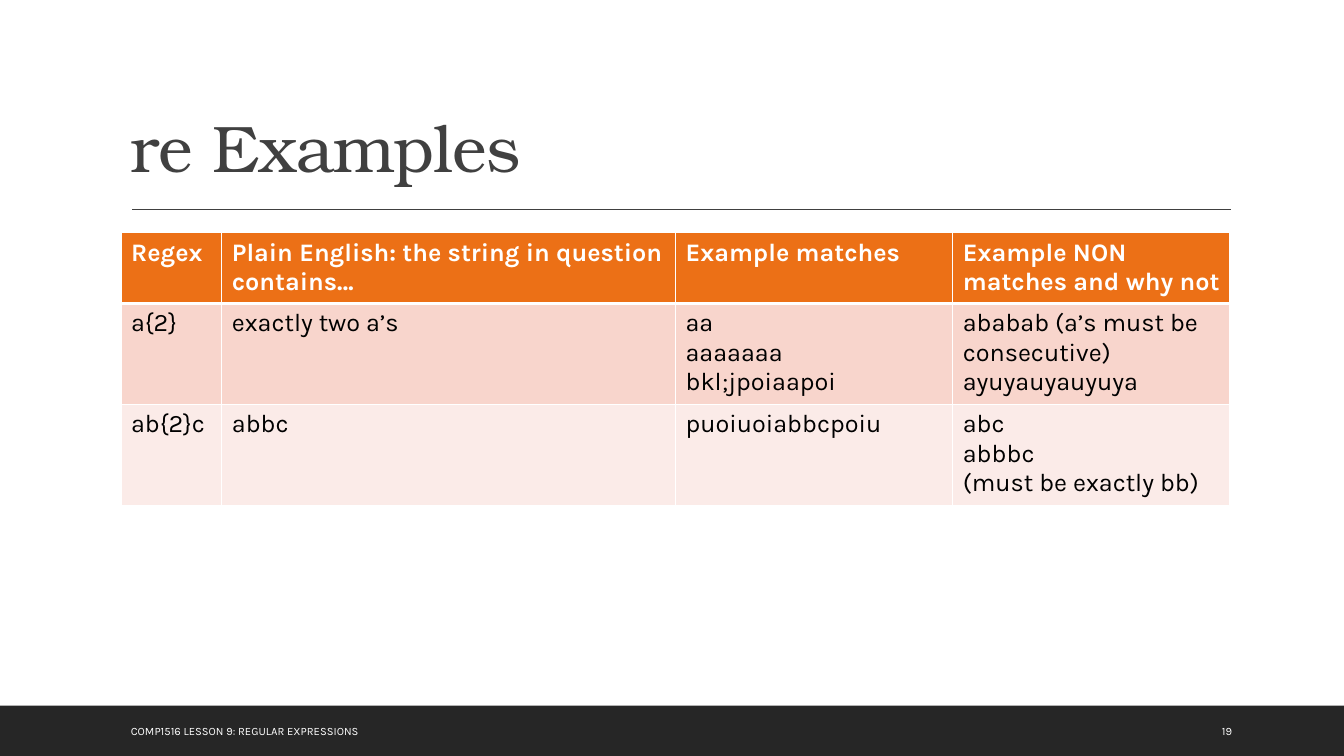
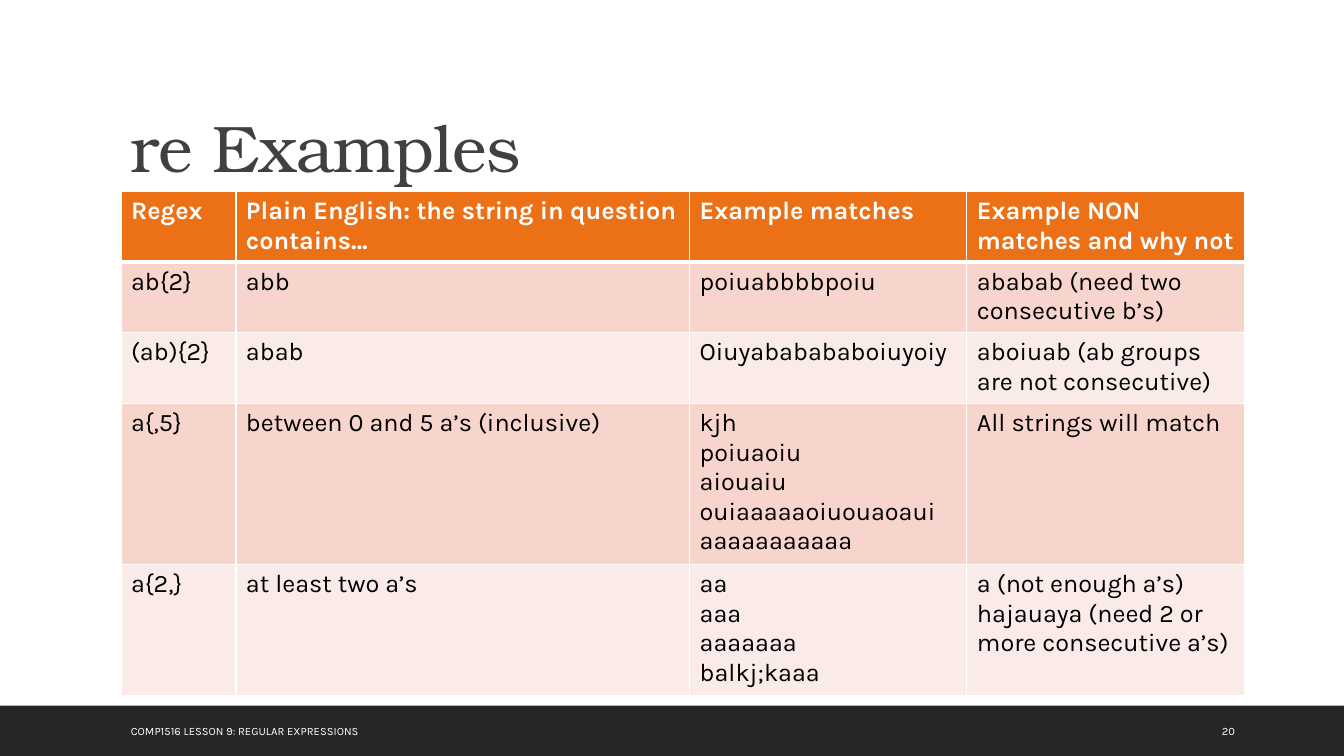
from dataclasses import dataclass

from lxml.etree import SubElement
from pptx import Presentation
from pptx.dml.color import RGBColor as RGB
from pptx.enum.shapes import MSO_CONNECTOR as Connector, MSO_SHAPE as Shape
from pptx.enum.text import MSO_ANCHOR as Anchor
from pptx.oxml.ns import qn
from pptx.util import Inches, Pt


@dataclass(frozen=True)
class Theme:
    """Colours, fonts and type sizes of the deck."""

    ink: str = "404040"
    band: str = "262626"
    white: str = "FFFFFF"
    black: str = "000000"
    header: str = "EC7016"
    stripes: tuple = ("F8D5CC", "FBEBE8")
    title_font: str = "TeX Gyre Bonum"
    body_font: str = "Karla"
    title_size: int = 47
    table_size: int = 18
    footer_size: int = 8


class Deck:
    """Holds the theme, the presentation and the slide being built."""

    width, height, left = 13.33, 7.5, 1.2

    def __init__(self, theme):
        self.theme = theme
        self.prs = Presentation()
        self.prs.slide_width = Inches(self.width)
        self.prs.slide_height = Inches(self.height)
        self.slide = None

    def add_slide(self, title, footer, number):
        """Start a slide with its title, footer band and page number."""
        self.slide = self.prs.slides.add_slide(self.prs.slide_layouts[6])
        self.band()
        self.title(title)
        self.footer(footer, self.left, 7.46)
        self.footer(str(number), 12.02, 0.85)

    def style(self, frame, font, size, color, bold=False):
        """Give every run in a text frame the same format."""
        format_values = {"name": font, "size": Pt(size), "bold": bold}
        for paragraph in frame.paragraphs:
            for run in paragraph.runs:
                for attribute, value in format_values.items():
                    setattr(run.font, attribute, value)
                run.font.color.rgb = RGB.from_string(color)

    def text(self, words, box, anchor, **formatting):
        """Add a wrapped text box and return its frame."""
        frame = self.slide.shapes.add_textbox(*map(Inches, box)).text_frame
        frame.word_wrap = True
        frame.vertical_anchor = anchor
        frame.text = words
        self.style(frame, **formatting)
        return frame

    def band(self):
        """Draw the dark band along the foot of the slide."""
        band = self.slide.shapes.add_shape(
            Shape.RECTANGLE, 0, Inches(7), Inches(self.width), Inches(0.5))
        band.shadow.inherit = False
        band.fill.solid()
        band.fill.fore_color.rgb = RGB.from_string(self.theme.band)
        band.line.fill.background()

    def title(self, words):
        """Add the slide title with slightly tight lettering."""
        theme = self.theme
        frame = self.text(words, (self.left, 0.31, 11, 1.59), Anchor.BOTTOM,
                          font=theme.title_font, size=theme.title_size, color=theme.ink)
        heading = frame.paragraphs[0]
        heading.line_spacing = 0.9
        heading.runs[0]._r.get_or_add_rPr().set("spc", "-50")

    def footer(self, words, left, width):
        """Add a small text on the footer band."""
        theme = self.theme
        self.text(words, (left, 7.05, width, 0.4), Anchor.MIDDLE,
                  font=theme.body_font, size=theme.footer_size, color=theme.white)

    def rule(self):
        """Draw the thin line under the title."""
        rule = self.slide.shapes.add_connector(
            Connector.STRAIGHT, *map(Inches, (1.31, 2.08, 12.21, 2.08)))
        rule.line.color.rgb = RGB.from_string(self.theme.ink)
        rule.line.width = Pt(1)
        SubElement(rule._element.spPr, qn("a:effectLst"))

    def borders(self, cell, top, bottom):
        """Outline a cell in white with the given top and bottom weights."""
        properties = cell._tc.get_or_add_tcPr()
        for side, weight in {"L": 1, "R": 1, "T": top, "B": bottom}.items():
            edge = SubElement(properties, qn(f"a:ln{side}"), w=str(Pt(weight)))
            paint = SubElement(edge, qn("a:solidFill"))
            SubElement(paint, qn("a:srgbClr"), val=self.theme.white)

    def table(self, top, columns, rows):
        """Add a table with an orange header and striped rows."""
        theme, row_height = self.theme, 0.41
        table = self.slide.shapes.add_table(
            len(rows), len(columns), Inches(self.left), Inches(top),
            Inches(sum(columns)), Inches(row_height * len(rows))).table
        table.horz_banding = False
        for column, width in zip(table.columns, columns):
            column.width = Inches(width)
        for r, row in enumerate(rows):
            is_header = r == 0
            fill = theme.header if is_header else theme.stripes[(r - 1) % 2]
            color = theme.white if is_header else theme.black
            for c, words in enumerate(row):
                cell = table.cell(r, c)
                cell.text = words
                self.style(cell.text_frame, theme.body_font, theme.table_size,
                           color, is_header)
                self.borders(cell, 3 if r == 1 else 1, 3 if is_header else 1)
                cell.fill.solid()
                cell.fill.fore_color.rgb = RGB.from_string(fill)


TITLE = "re Examples"
FOOTER = "COMP1516 LESSON 9: REGULAR EXPRESSIONS"
HEADINGS = ("Regex", "Plain English: the string in question contains…",
            "Example matches", "Example NON matches and why not")
EXACT_COUNTS = [
    ("a{2}", "exactly two a’s", "aa\naaaaaaa\nbkl;jpoiaapoi",
     "ababab (a’s must be consecutive)\nayuyauyauyuya"),
    ("ab{2}c", "abbc", "puoiuoiabbcpoiu", "abc\nabbbc\n(must be exactly bb)"),
]
GROUPS_AND_RANGES = [
    ("ab{2}", "abb", "poiuabbbbpoiu", "ababab (need two consecutive b’s)"),
    ("(ab){2}", "abab", "Oiuyababababoiuyoiy",
     "aboiuab (ab groups are not consecutive)"),
    ("a{,5}", "between 0 and 5 a’s (inclusive)",
     "kjh\npoiuaoiu\naiouaiu\nouiaaaaaoiuouaoaui\naaaaaaaaaaa",
     "All strings will match"),
    ("a{2,}", "at least two a’s", "aa\naaa\naaaaaaa\nbalkj;kaaa",
     "a (not enough a’s)\nhajauaya (need 2 or more consecutive a’s)"),
]


def main():
    """Build both example slides and save them."""
    deck = Deck(Theme())
    deck.add_slide(TITLE, FOOTER, 19)
    deck.rule()
    deck.table(2.31, (1, 4.5, 2.75, 2.75), [HEADINGS, *EXACT_COUNTS])
    deck.add_slide(TITLE, FOOTER, 20)
    deck.table(1.9, (1.14, 4.5, 2.75, 2.75), [HEADINGS, *GROUPS_AND_RANGES])
    deck.prs.save("out.pptx")


if __name__ == "__main__":
    main()
